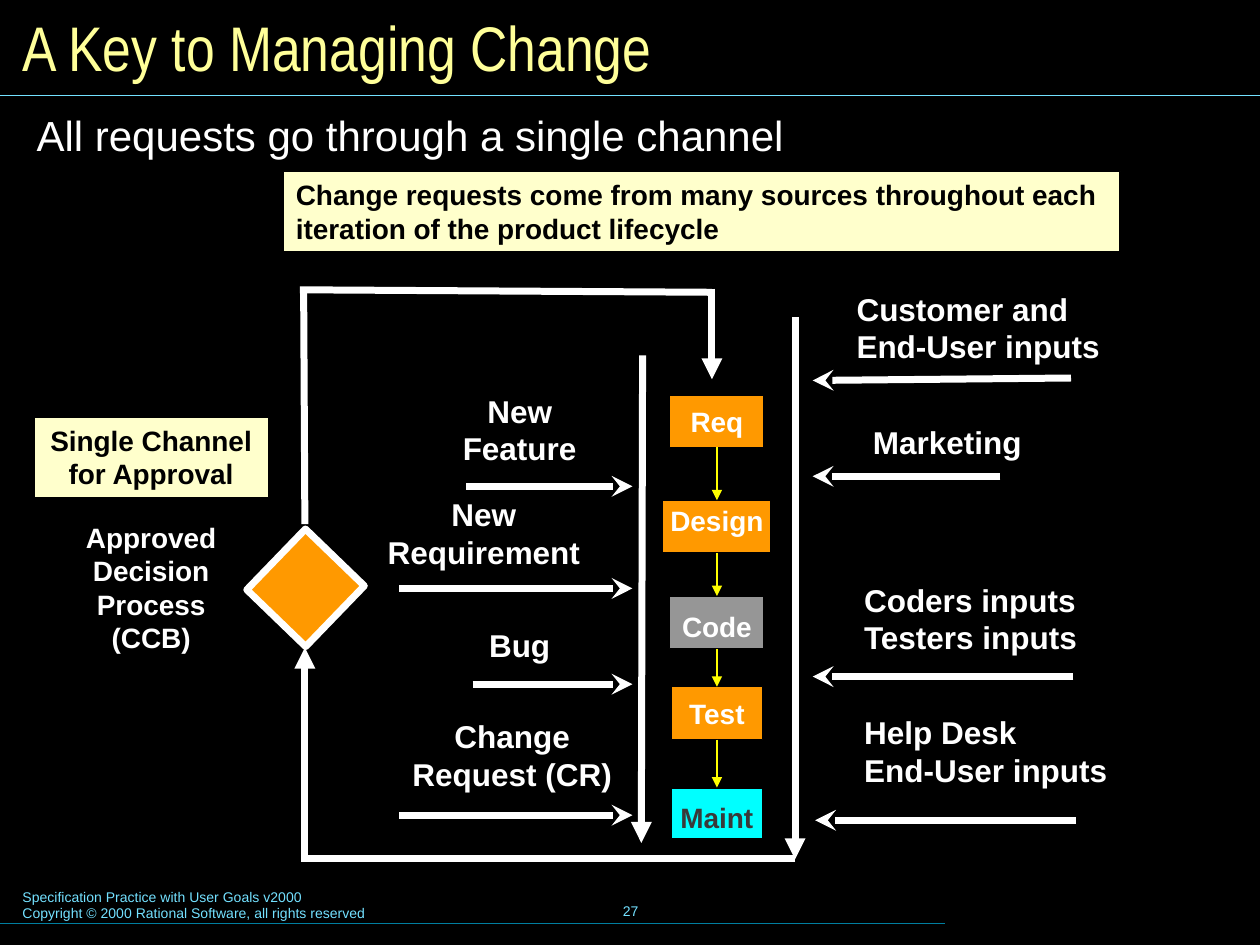
from lxml.etree import SubElement
from pptx import Presentation
from pptx.dml.color import RGBColor
from pptx.enum.shapes import MSO_CONNECTOR, MSO_SHAPE
from pptx.enum.text import MSO_ANCHOR, PP_ALIGN
from pptx.oxml.ns import qn
from pptx.util import Inches, Pt

COLORS = {
    "black": "000000", "white": "FFFFFF", "cream": "FFFFCC", "title": "FFFF99",
    "sky": "73E1FF", "teal": "007E9F", "orange": "FF9900", "gray": "969696",
    "cyan": "00FFFF", "dark": "393939", "yellow": "FFFF00",
}
LEFT, CENTER = PP_ALIGN.LEFT, PP_ALIGN.CENTER

TITLE = ((0.08, 0.08, 9.84, 0.58), ["A Key to Managing Change"])
SUBTITLE = ((0.17, 0.81, 6.17, 0.52), ["All requests go through a single channel"])
FOOTER = ((0.08, 7, 5.1, 0.37), [
    "Specification Practice with User Goals v2000",
    "Copyright © 2000 Rational Software, all rights reserved",
])
PAGE = ((3.42, 6.98, 3.17, 0.5), ["27"])
RULES = [(0, 0.76, 10, 0.76, "sky"), (0, 7.33, 7.5, 7.33, "teal")]

NOTES = [
    ((2.25, 1.36, 6.64, 0.64), LEFT, True, [
        "Change requests come from many sources throughout each "
        "iteration of the product lifecycle"]),
    ((0.27, 3.31, 1.86, 0.64), CENTER, False, ["Single Channel", "for Approval"]),
]
APPROVAL = ((0.58, 4.08, 1.24, 1.17), ["Approved\nDecision\nProcess", "(CCB)"])
DIAMOND = (2.1, 4.33, 0.65, 0.67)

STAGE_CENTER = 5.69
STAGES = [
    ("Req", 3.14, 0.75, 0.41, 0.07, "orange", "white", 0.75),
    ("Design", 3.97, 0.86, 0.42, 0.03, "orange", "white", 0.75),
    ("Code", 4.73, 0.75, 0.42, 0.11, "gray", "white", 0.75),
    ("Test", 5.45, 0.73, 0.42, 0.08, "orange", "white", 0.75),
    ("Maint", 6.25, 0.73, 0.41, 0.1, "cyan", "dark", 1.5),
]

SOURCES = [
    ((6.7, 2.25, 2.13, 0.7), LEFT, ["Customer and\nEnd-User inputs"], (8.5, 3, 6.45, 3.02)),
    ((6.83, 3.31, 1.9, 0.4), LEFT, ["Marketing"], (7.94, 3.78, 6.45, 3.78)),
    ((6.76, 4.56, 2.6, 0.7), LEFT, ["Coders inputs", "Testers inputs"], (8.52, 5.37, 6.45, 5.37)),
    ((6.76, 5.61, 2.55, 0.7), LEFT, ["Help Desk", "End-User inputs"], (8.54, 6.51, 6.47, 6.51)),
    ((3.36, 3.06, 1.53, 0.7), CENTER, ["New Feature"], (3.7, 3.86, 5.02, 3.86)),
    ((2.64, 3.88, 2.4, 0.7), CENTER, ["New", "Requirement"], (3.17, 4.67, 5.02, 4.67)),
    ((3.66, 4.92, 0.93, 0.4), CENTER, ["Bug"], (3.75, 5.43, 5.02, 5.43)),
    ((2.96, 5.64, 2.21, 0.7), CENTER, ["Change\nRequest (CR)"], (3.17, 6.47, 5.02, 6.47)),
]

CHANNEL = [
    (6.31, 6.81, 2.39, 6.81, None),
    (2.42, 6.82, 2.42, 5.14, "triangle"),
    (2.42, 4.16, 2.41, 2.31, None),
    (5.65, 2.32, 2.38, 2.3, None),
    (5.65, 2.29, 5.65, 3.01, "triangle"),
    (5.1, 2.82, 5.09, 6.69, "triangle"),
    (6.31, 2.52, 6.31, 6.82, "triangle"),
]


def rgb(name):
    return RGBColor.from_string(COLORS[name])


def fill_text(sp, paragraphs, size, color, align=LEFT, bold=False, wrap=True,
              font="Arial", anchor=MSO_ANCHOR.TOP, insets=(0.1, 0.05)):
    tf = sp.text_frame
    tf.word_wrap = wrap
    tf.vertical_anchor = anchor
    tf.margin_left = tf.margin_right = Inches(insets[0])
    tf.margin_top = tf.margin_bottom = Inches(insets[1])
    for i, text in enumerate(paragraphs):
        p = tf.paragraphs[0] if i == 0 else tf.add_paragraph()
        p.alignment = align
        for j, line in enumerate(text.split("\n")):
            if j:
                p.add_line_break()
            r = p.add_run()
            r.text = line
            r.font.name = font
            r.font.size = Pt(size)
            r.font.bold = bold
            r.font.color.rgb = rgb(color)


def add_text(s, box, paragraphs, size, color, **options):
    sp = s.shapes.add_textbox(*map(Inches, box))
    fill_text(sp, paragraphs, size, color, **options)


def add_box(s, box, fill, line="black", width=0.75):
    sp = s.shapes.add_shape(MSO_SHAPE.RECTANGLE, *map(Inches, box))
    sp.shadow.inherit = False
    sp.fill.solid()
    sp.fill.fore_color.rgb = rgb(fill)
    sp.line.color.rgb = rgb(line)
    sp.line.width = Pt(width)
    return sp


def add_line(s, ends, color, width, arrow=None):
    cx = s.shapes.add_connector(MSO_CONNECTOR.STRAIGHT, *map(Inches, ends))
    cx.line.color.rgb = rgb(color)
    cx.line.width = Pt(width)
    if arrow:
        SubElement(cx.line._get_or_add_ln(), qn("a:tailEnd"), type=arrow)
    SubElement(cx._element.spPr, qn("a:effectLst"))
    return cx


def add_stages(s):
    previous = None
    for name, top, w, h, inset, fill, color, width in STAGES:
        sp = add_box(s, (STAGE_CENTER - w / 2, top, w, h), fill, width=width)
        fill_text(sp, [name], 16, color, align=CENTER, bold=True, wrap=False, insets=(0, 0))
        sp.text_frame.margin_top = Inches(inset)
        if previous:
            cx = add_line(s, (0, 0, 0, 0), "yellow", 0.75, "triangle")
            cx.begin_connect(previous, 2)
            cx.end_connect(sp, 0)
        previous = sp


def main():
    prs = Presentation()
    prs.slide_width, prs.slide_height = Inches(10), Inches(7.5)
    s = prs.slides.add_slide(prs.slide_layouts[6])
    s.background.fill.solid()
    s.background.fill.fore_color.rgb = rgb("black")

    add_text(s, *FOOTER, 8, "sky")
    add_text(s, *PAGE, 8, "sky", align=CENTER, wrap=False, anchor=MSO_ANCHOR.MIDDLE)
    for *ends, color in RULES:
        add_line(s, ends, color, 0.75)
    add_text(s, *TITLE, 36, "title", font="Arial Narrow", anchor=MSO_ANCHOR.MIDDLE)
    add_text(s, *SUBTITLE, 24, "white", wrap=False, insets=(0.12, 0.06))

    for box, align, wrap, lines in NOTES:
        sp = add_box(s, box, "cream")
        fill_text(sp, lines, 16, "black", align=align, bold=True, wrap=wrap)

    add_stages(s)
    for box, align, lines, ends in SOURCES:
        add_text(s, box, lines, 18, "white", align=align, bold=True)
        add_line(s, ends, "white", 4, "stealth")

    add_box(s, DIAMOND, "orange", "white", 4).rotation = 44
    add_text(s, *APPROVAL, 16, "white", align=CENTER, bold=True, wrap=False)
    for *ends, arrow in CHANNEL:
        add_line(s, ends, "white", 4, arrow)

    prs.save("out.pptx")


if __name__ == "__main__":
    main()
